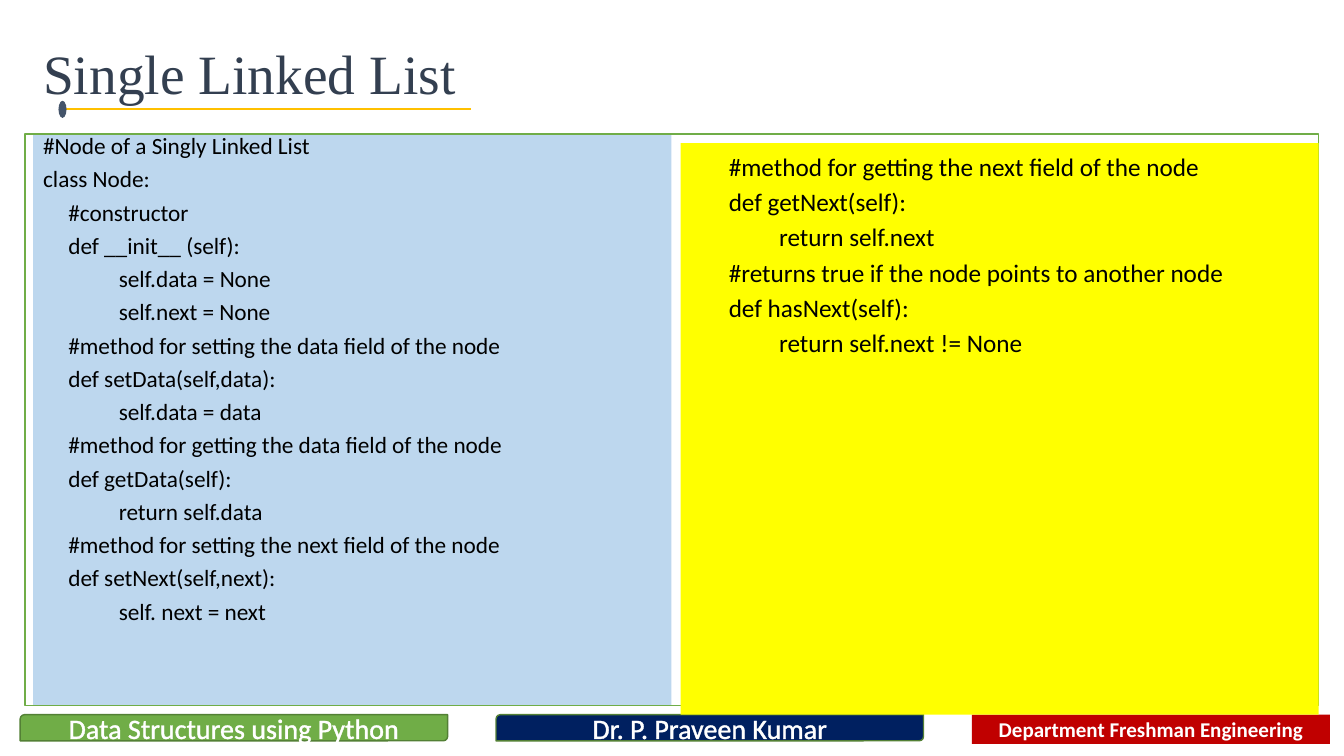
from lxml import etree
from pptx import Presentation
from pptx.dml.color import RGBColor
from pptx.enum.shapes import MSO_CONNECTOR, MSO_SHAPE
from pptx.enum.text import MSO_ANCHOR, PP_ALIGN
from pptx.oxml.ns import qn
from pptx.util import Inches, Pt

WHITE = RGBColor(0xFF, 0xFF, 0xFF)
BLACK = RGBColor(0x00, 0x00, 0x00)
RED = RGBColor(0xC0, 0x00, 0x00)
GREEN = RGBColor(0x70, 0xAD, 0x47)
DARK_GREEN = RGBColor(0x53, 0x80, 0x35)
NAVY = RGBColor(0x00, 0x20, 0x60)
SLATE = RGBColor(0x44, 0x54, 0x6A)
DARK_SLATE = RGBColor(0x33, 0x3F, 0x50)
GOLD = RGBColor(0xFF, 0xC0, 0x00)
LIGHT_BLUE = RGBColor(0xBD, 0xD7, 0xEE)
YELLOW = RGBColor(0xFF, 0xFF, 0x00)

NODE_CODE = [
    (0, "#Node of a Singly Linked List"),
    (0, "class Node:"),
    (1, "#constructor"),
    (1, "def __init__ (self):"),
    (2, "self.data = None"),
    (2, "self.next = None"),
    (1, "#method for setting the data field of the node"),
    (1, "def setData(self,data):"),
    (2, "self.data = data"),
    (1, "#method for getting the data field of the node"),
    (1, "def getData(self):"),
    (2, "return self.data"),
    (1, "#method for setting the next field of the node"),
    (1, "def setNext(self,next):"),
    (2, "self. next = next"),
]
NEXT_CODE = [
    (1, "#method for getting the next field of the node"),
    (1, "def getNext(self):"),
    (2, "return self.next"),
    (1, "#returns true if the node points to another node"),
    (1, "def hasNext(self):"),
    (2, "return self.next != None"),
]


def style_font(font, name, size, color, bold=False):
    font.name = name
    font.size = Pt(size)
    font.color.rgb = color
    font.bold = bold


def add_panel(page, preset, left, top, width, height, fill=None, line=None):
    box = page.shapes.add_shape(
        preset, Inches(left), Inches(top), Inches(width), Inches(height))
    box.shadow.inherit = False
    if fill is None:
        box.fill.background()
    else:
        box.fill.solid()
        box.fill.fore_color.rgb = fill
    if line is None:
        box.line.fill.background()
    else:
        box.line.color.rgb = line
        box.line.width = Pt(1)
    return box


def add_label(box, text, size, bold=False):
    frame = box.text_frame
    frame.text = text
    frame.word_wrap = True
    frame.vertical_anchor = MSO_ANCHOR.MIDDLE
    para = frame.paragraphs[0]
    para.alignment = PP_ALIGN.CENTER
    span = para.runs[0]
    style_font(span.font, "Calibri", size, WHITE, bold)
    return span


def outline_text(span):
    properties = span.font._element
    outline = etree.Element(qn("a:ln"), w=str(Pt(1.45)))
    fill = etree.SubElement(outline, qn("a:solidFill"))
    etree.SubElement(fill, qn("a:srgbClr"), val=str(WHITE))
    properties.insert(0, outline)


def add_footer(page):
    department = add_panel(page, MSO_SHAPE.RECTANGLE, 9.64, 7.09, 3.55, 0.29, RED)
    add_label(department, "Department Freshman Engineering", 15, bold=True)
    tabs = [(0.2, GREEN, "Data Structures using Python"),
            (4.92, NAVY, "Dr. P. Praveen Kumar")]
    for left, fill, text in tabs:
        box = add_panel(page, MSO_SHAPE.ROUND_2_DIAG_RECTANGLE,
                        left, 7.09, 4.24, 0.26, fill, DARK_GREEN)
        outline_text(add_label(box, text, 20))


def add_title(page, text):
    box = page.shapes.add_textbox(Inches(0.33), Inches(0.42), Inches(4.67), Inches(0.67))
    frame = box.text_frame
    frame.text = text
    frame.word_wrap = True
    frame.vertical_anchor = MSO_ANCHOR.MIDDLE
    para = frame.paragraphs[0]
    para.line_spacing = 0.9
    style_font(para.runs[0].font, "Times New Roman", 39.6, DARK_SLATE)


def add_underline(page):
    rule = page.shapes.add_connector(
        MSO_CONNECTOR.STRAIGHT, Inches(0.63), Inches(1.08), Inches(4.67), Inches(1.08))
    rule.line.color.rgb = GOLD
    rule.line.width = Pt(1)
    etree.SubElement(rule._element.spPr, qn("a:effectLst"))
    add_panel(page, MSO_SHAPE.OVAL, 0.58, 1, 0.08, 0.17, SLATE)


def add_code(box, lines, size, indent, line_spacing, space_before, top_inset):
    frame = box.text_frame
    frame.word_wrap = True
    frame.vertical_anchor = MSO_ANCHOR.TOP
    frame.margin_top = Inches(top_inset)
    for index, (depth, text) in enumerate(lines):
        para = frame.add_paragraph() if index else frame.paragraphs[0]
        para.text = "\t" * depth + text
        para.alignment = PP_ALIGN.LEFT
        para.line_spacing = line_spacing
        para.space_before = Pt(space_before if index else 0)
        properties = para._p.get_or_add_pPr()
        properties.set("marL", str(Inches(indent)))
        properties.set("indent", str(-Inches(indent)))
        style_font(para.runs[0].font, "Calibri", size, BLACK)


def main():
    deck = Presentation()
    deck.slide_width = Inches(13.33)
    deck.slide_height = Inches(7.5)
    page = deck.slides.add_slide(deck.slide_layouts[6])

    add_footer(page)
    add_title(page, "Single Linked List")
    node_panel = add_panel(page, MSO_SHAPE.RECTANGLE, 0.33, 1.33, 6.33, 5.67, LIGHT_BLUE)
    add_code(node_panel, NODE_CODE, 16.6, 0.25, 0.7, 9.8, 0.05)
    add_underline(page)
    add_panel(page, MSO_SHAPE.RECTANGLE, 0.25, 1.33, 12.83, 5.67, line=GREEN)
    next_panel = add_panel(page, MSO_SHAPE.RECTANGLE, 6.75, 1.42, 6.33, 5.67, YELLOW)
    add_code(next_panel, NEXT_CODE, 18, 0.38, 1.0, 3.6, 0.08)

    deck.save("out.pptx")


if __name__ == "__main__":
    main()
